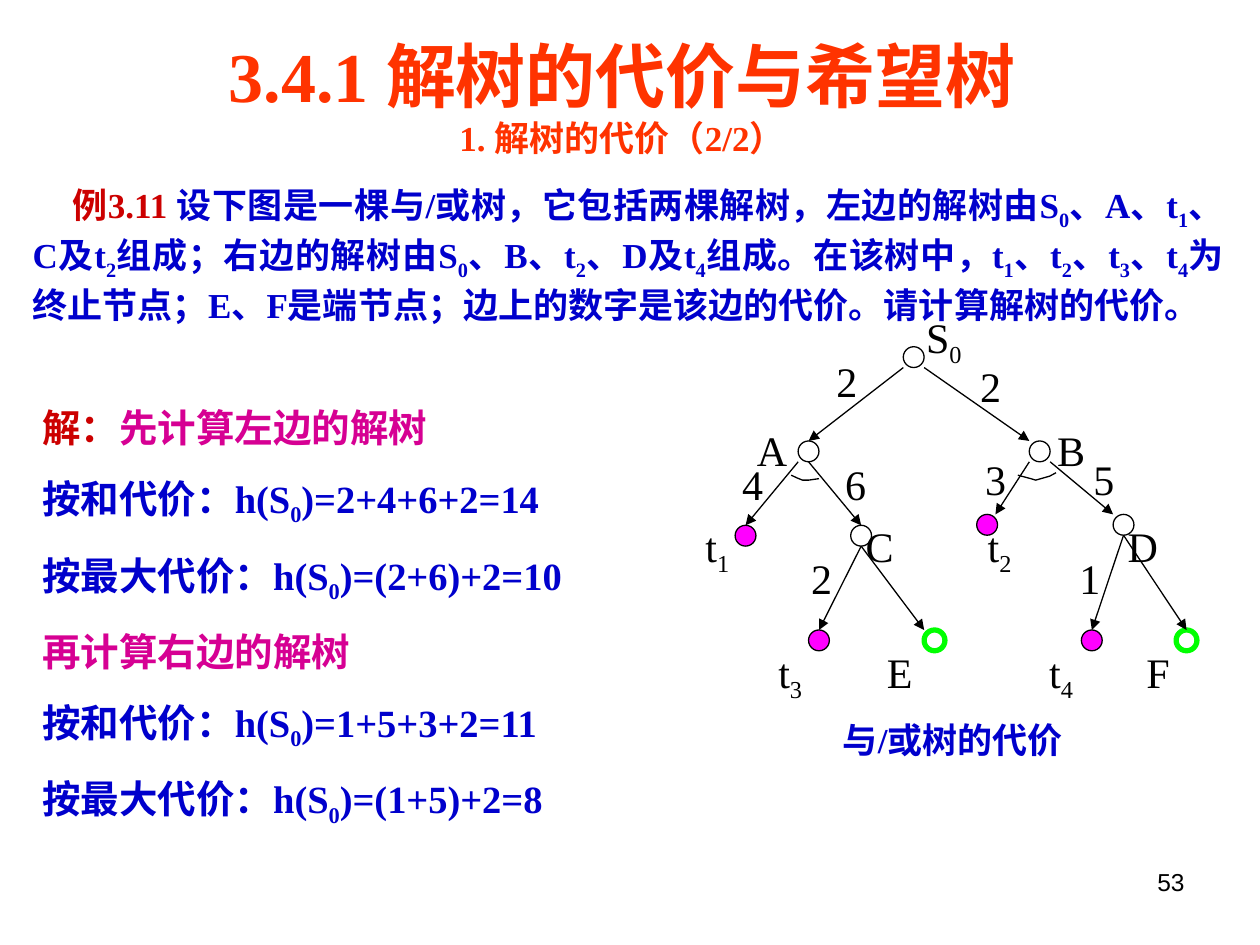
from lxml import etree
from pptx import Presentation
from pptx.dml.color import RGBColor
from pptx.enum.shapes import MSO_CONNECTOR, MSO_SHAPE
from pptx.enum.text import PP_ALIGN
from pptx.oxml.ns import qn
from pptx.util import Cm, Pt

OVAL = MSO_SHAPE.OVAL
STRAIGHT = MSO_CONNECTOR.STRAIGHT
LEFT, CENTER, RIGHT, JUSTIFY = PP_ALIGN.LEFT, PP_ALIGN.CENTER, PP_ALIGN.RIGHT, PP_ALIGN.JUSTIFY

BLACK, BLUE, RED, PINK = "000000", "0000CC", "CC0000", "D60093"
ORANGE, MAGENTA, GREEN = "FF3300", "FF00FF", "00FF00"
SERIF, SANS = "Times New Roman", "Arial"

# A paragraph is a list of (text, colour) runs; "_" lowers the next character.
TITLE = [("3.4.1 解树的代价与希望树", ORANGE)]
SUBTITLE = [("1. 解树的代价（2/2）", ORANGE)]
EXAMPLE = [
    ("例3.11 ", RED),
    ("设下图是一棵与/或树，它包括两棵解树，左边的解树由S_0、A、t_1、C及t_2组成；"
     "右边的解树由S_0、B、t_2、D及t_4组成。在该树中，t_1、t_2、t_3、t_4为终止节点；"
     "E、F是端节点；边上的数字是该边的代价。请计算解树的代价。", BLUE),
]
SOLUTION = [
    [("解：", RED), ("先计算左边的解树", PINK)],
    [("按和代价：h(S_0)=2+4+6+2=14", BLUE)],
    [("按最大代价：h(S_0)=(2+6)+2=10", BLUE)],
    [("再计算右边的解树", PINK)],
    [("按和代价：h(S_0)=1+5+3+2=11", BLUE)],
    [("按最大代价：h(S_0)=(1+5)+2=8", BLUE)],
]
CAPTION = [("与/或树的代价", BLUE)]
PAGE_NUMBER = [("53", BLACK)]

# Node: centre, label corner, kind (lengths in cm)
RADIUS = 0.21
NODES = {
    "S_0": ((18.42, 7.2), (18.42, 6.15), "open"),
    "A": ((16.3, 9.1), (15.01, 8.43), "open"),
    "B": ((20.96, 9.1), (21.06, 8.43), "open"),
    "t_1": ((15.03, 10.8), (13.97, 10.36), "terminal"),
    "C": ((17.36, 10.8), (17.2, 10.36), "open"),
    "t_2": ((19.9, 10.58), (19.66, 10.36), "terminal"),
    "D": ((22.65, 10.58), (22.48, 10.36), "open"),
    "t_3": ((16.51, 12.91), (15.44, 12.9), "terminal"),
    "E": ((18.84, 12.91), (17.63, 12.9), "end"),
    "t_4": ((22.01, 12.91), (20.9, 12.9), "terminal"),
    "F": ((23.92, 12.91), (22.86, 12.9), "end"),
}
# Kind: fill, line colour, line width in points
KINDS = {"open": (None, BLACK, 0.75), "terminal": (MAGENTA, BLACK, 0.75), "end": (None, GREEN, 3)}

# Edge: parent, child, sideways shift at each end in radii, cost, cost corner
EDGES = [
    ("S_0", "A", -1, 0, "2", (16.61, 7.04)),
    ("S_0", "B", 1, -1, "2", (19.51, 7.14)),
    ("A", "t_1", -1, 0, "4", (14.71, 9.12)),
    ("A", "C", 0, 0, "6", (16.79, 9.12)),
    ("B", "t_2", -1, 0.8, "3", (19.61, 9.02)),
    ("B", "D", 1, -1, "5", (21.79, 9.02)),
    ("C", "t_3", 0, 0, "2", (16.1, 11.02)),
    ("C", "E", 0, -1, None, None),
    ("D", "t_4", 0, 0, "1", (21.51, 11.02)),
    ("D", "F", 0, 0, None, None),
]
AND_ARCS = [
    [(15.95, 9.58), (16.08, 9.64), (16.18, 9.68), (16.3, 9.68), (16.51, 9.65)],
    [(20.52, 9.58), (20.78, 9.65), (20.88, 9.68), (21.16, 9.6), (21.29, 9.53)],
]


def color(value):
    return RGBColor.from_string(value)


def set_line(shape, line_color=BLACK, width=0.75):
    shape.line.color.rgb = color(line_color)
    shape.line.width = Pt(width)


def add_run(paragraph, text, size, run_color, bold, font, lowered=False):
    run = paragraph.add_run()
    run.text = text
    run.font.name = font
    run.font.size = Pt(size)
    run.font.bold = bold
    run.font.color.rgb = color(run_color)
    if lowered:
        run._r.get_or_add_rPr().set("baseline", "-25000")


def add_text(slide, box, paragraphs, sizes, bold=True, font=SERIF, align=LEFT, before=0):
    """Add a text box; sizes holds one text size per paragraph."""
    frame = slide.shapes.add_textbox(*map(Cm, box)).text_frame
    frame.word_wrap = True
    for index, (runs, size) in enumerate(zip(paragraphs, sizes)):
        paragraph = frame.add_paragraph() if index else frame.paragraphs[0]
        paragraph.alignment = align
        paragraph.space_before = Pt(before)
        for text, run_color in runs:
            plain, *lowered_parts = text.split("_")
            add_run(paragraph, plain, size, run_color, bold, font)
            for part in lowered_parts:
                add_run(paragraph, part[0], size, run_color, bold, font, lowered=True)
                if part[1:]:
                    add_run(paragraph, part[1:], size, run_color, bold, font)
    return frame


def add_label(slide, corner, text):
    add_text(slide, (*corner, 1.7, 1.3), [[(text, BLACK)]], [24], bold=False)


def add_node(slide, center, kind):
    x, y = center
    fill, line_color, width = KINDS[kind]
    shape = slide.shapes.add_shape(
        OVAL, Cm(x - RADIUS), Cm(y - RADIUS), Cm(2 * RADIUS), Cm(2 * RADIUS))
    shape.shadow.inherit = False
    if fill:
        shape.fill.solid()
        shape.fill.fore_color.rgb = color(fill)
    else:
        shape.fill.background()
    set_line(shape, line_color, width)


def add_edge(slide, parent, child, start_shift, end_shift):
    (x1, y1), (x2, y2) = NODES[parent][0], NODES[child][0]
    connector = slide.shapes.add_connector(
        STRAIGHT, Cm(x1 + start_shift * RADIUS), Cm(y1 + RADIUS),
        Cm(x2 + end_shift * RADIUS), Cm(y2 - RADIUS))
    set_line(connector)
    etree.SubElement(connector.line._get_or_add_ln(), qn("a:tailEnd"), type="triangle")
    etree.SubElement(connector._element.spPr, qn("a:effectLst"))


def add_arc(slide, points):
    start, *rest = [(Cm(x), Cm(y)) for x, y in points]
    builder = slide.shapes.build_freeform(*start)
    builder.add_line_segments(rest, close=False)
    arc = builder.convert_to_shape()
    arc.shadow.inherit = False
    arc.fill.background()
    set_line(arc)


def main():
    presentation = Presentation()
    presentation.slide_width, presentation.slide_height = Cm(25.4), Cm(19.05)
    slide = presentation.slides.add_slide(presentation.slide_layouts[6])

    add_text(slide, (0.79, 0.53, 23.5, 2.79), [TITLE, SUBTITLE], [40, 20], align=CENTER)
    example = add_text(slide, (0.41, 3.53, 24.51, 4.19), [EXAMPLE], [20], align=JUSTIFY)
    example.paragraphs[0].line_spacing = 1.05
    example.paragraphs[0]._p.get_or_add_pPr().set("indent", str(Cm(0.8)))
    add_text(slide, (0.61, 8.03, 13.34, 8.79), SOLUTION, [22] * len(SOLUTION),
             align=JUSTIFY, before=13.8)

    for center, label_corner, kind in NODES.values():
        add_node(slide, center, kind)
    for parent, child, start_shift, end_shift, cost, cost_corner in EDGES:
        add_edge(slide, parent, child, start_shift, end_shift)
        if cost:
            add_label(slide, cost_corner, cost)
    for points in AND_ARCS:
        add_arc(slide, points)
    for name, (center, label_corner, kind) in NODES.items():
        add_label(slide, label_corner, name)

    add_text(slide, (16.74, 14.35, 6, 1.2), [CAPTION], [20])
    add_text(slide, (18.21, 17.35, 5.92, 1.32), [PAGE_NUMBER], [14],
             bold=False, font=SANS, align=RIGHT)
    presentation.save("out.pptx")


if __name__ == "__main__":
    main()
